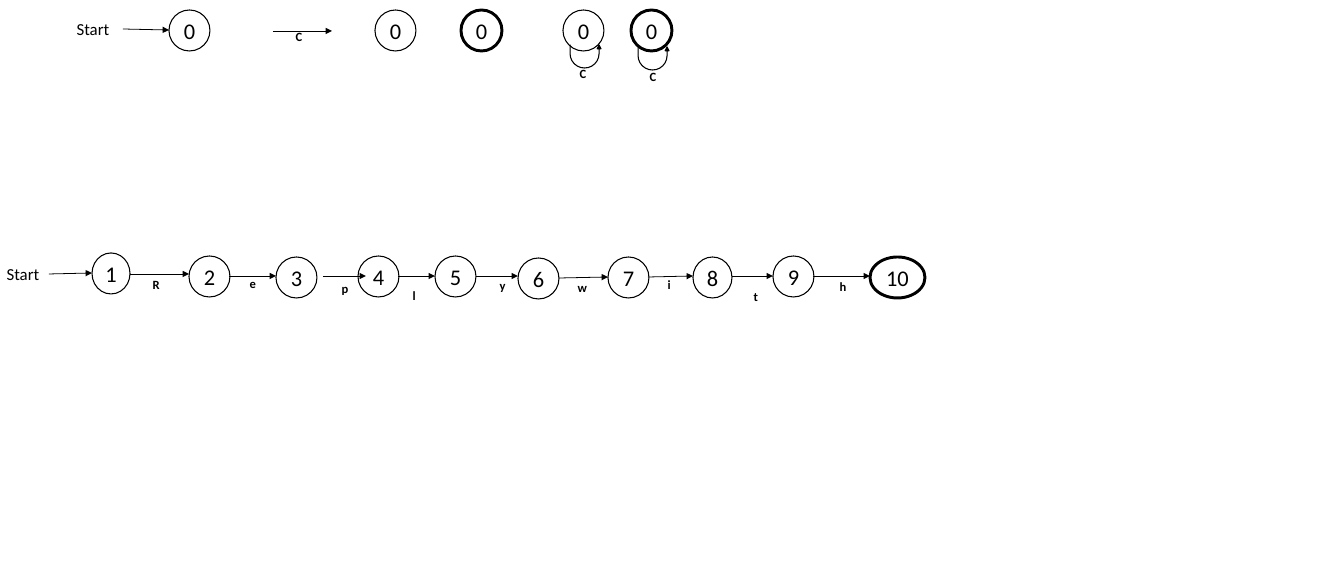
from lxml import etree
from pptx import Presentation
from pptx.dml.color import RGBColor
from pptx.enum.shapes import MSO_CONNECTOR, MSO_SHAPE
from pptx.enum.text import MSO_ANCHOR, PP_ALIGN
from pptx.oxml.ns import qn
from pptx.util import Pt

PIXEL = 914400 / 76.8
STRAIGHT = MSO_CONNECTOR.STRAIGHT
OVAL = MSO_SHAPE.OVAL
UTURN = MSO_SHAPE.U_TURN_ARROW
MIDDLE = MSO_ANCHOR.MIDDLE
CENTER = PP_ALIGN.CENTER
BLACK = "000000"
FONT = "Calibri"
THIN, BOLD_RIM = 1, 2.75
STATE_HEIGHT = 41

CHAIN_STATES = [
    ("2", 189, 256, 41), ("3", 276, 257, 41), ("4", 358, 256, 41),
    ("5", 435, 256, 41), ("6", 518, 258, 41), ("7", 608, 257, 41),
    ("8", 693, 257, 39), ("9", 773, 256, 41),
]
CHAIN_TRANSITIONS = [
    ("R", (130, 274, 189, 274), (145, 273)),
    ("e", (229, 276, 276, 276), (242, 272)),
    ("p", (323, 276, 366, 276), (334, 277)),
    ("l", (398, 276, 435, 276), (405, 284)),
    ("y", (476, 276, 518, 276), (492, 274)),
    ("w", (559, 278, 608, 277), (570, 276)),
    ("i", (648, 277, 693, 276), (660, 273)),
    ("t", (732, 276, 773, 276), (746, 285)),
    ("h", (813, 276, 870, 276), (832, 275)),
]


def px(*values):
    """Turn pixel lengths into a list of EMU lengths."""
    return [round(value * PIXEL) for value in values]


def color(hex_code):
    """Return the colour for a hex string."""
    return RGBColor.from_string(hex_code)


def write(frame, text, size, bold=False):
    """Put one formatted paragraph into a text frame and return it."""
    frame.word_wrap = True
    para = frame.paragraphs[0]
    para.text = text
    para.font.name = FONT
    para.font.size = Pt(size)
    para.font.bold = bold
    para.font.color.rgb = color(BLACK)
    return para


def add_text(shapes, text, left, top, width, height, size, bold=False):
    """Add a text box with one line of text."""
    box = shapes.add_textbox(*px(left, top, width, height))
    write(box.text_frame, text, size, bold)


def add_label(shapes, symbol, left, top):
    """Add the bold input symbol of a transition."""
    add_text(shapes, symbol, left, top, 17, 23, 11.8, True)


def add_state(shapes, name, left, top, width=STATE_HEIGHT, rim=THIN):
    """Add a state circle with its number; a thick rim marks acceptance."""
    state = shapes.add_shape(OVAL, *px(left, top, width, STATE_HEIGHT))
    state.shadow.inherit = False
    state.fill.background()
    state.line.color.rgb = color(BLACK)
    state.line.width = Pt(rim)
    frame = state.text_frame
    frame.margin_left = frame.margin_right = 0
    frame.margin_top = frame.margin_bottom = 0
    frame.vertical_anchor = MIDDLE
    write(frame, name, 21).alignment = CENTER


def add_arrow(shapes, ends):
    """Add a straight arrow between two points."""
    arrow = shapes.add_connector(STRAIGHT, *px(*ends))
    arrow.line.color.rgb = color(BLACK)
    arrow.line.width = Pt(0.75)
    properties = arrow._element.spPr
    outline = properties.find(qn("a:ln"))
    etree.SubElement(outline, qn("a:tailEnd"), type="triangle")
    etree.SubElement(properties, qn("a:effectLst"))


def add_start(page, text_place, ends, name, state_place):
    """Add the start word, its arrow and the first state as a group."""
    shapes = page.shapes.add_group_shape().shapes
    add_text(shapes, "Start", *text_place, 54, 28, 15.8)
    add_arrow(shapes, ends)
    add_state(shapes, name, *state_place)


def add_transition(page, symbol, ends, label_place):
    """Add an arrow and its input symbol as a group."""
    shapes = page.shapes.add_group_shape().shapes
    add_arrow(shapes, ends)
    add_label(shapes, symbol, *label_place)


def add_looping_state(page, left, rim, loop_place, label_place):
    """Add a state with an arrow that returns to it."""
    shapes = page.shapes.add_group_shape().shapes
    add_state(shapes, "0", left, 10, rim=rim)
    loop = shapes.add_shape(UTURN, *px(*loop_place, 31, 23))
    for index, value in enumerate((0, 0.085, 0.164, 0.717, 1)):
        loop.adjustments[index] = value
    loop.rotation = 180
    loop._element.spPr.find(qn("a:xfrm")).set("flipH", "1")
    loop.shadow.inherit = False
    loop.fill.solid()
    loop.fill.fore_color.rgb = color(BLACK)
    loop.line.color.rgb = color(BLACK)
    loop.line.width = Pt(THIN)
    add_label(shapes, "C", *label_place)


def add_legend(page):
    """Add the row of automaton symbols."""
    add_start(page, (69, 15), (123, 29, 169, 30), "0", (169, 10))
    add_transition(page, "C", (273, 31, 332, 31), (288, 25))
    add_state(page.shapes, "0", 375, 10)
    add_state(page.shapes, "0", 461, 10, rim=BOLD_RIM)
    add_looping_state(page, 563, THIN, (570, 45), (572, 62))
    add_looping_state(page, 631, BOLD_RIM, (638, 47), (642, 65))


def add_chain(page):
    """Add the automaton that reads the word letter by letter."""
    add_start(page, (-1, 260), (49, 274, 92, 273), "1", (92, 253, 38))
    for name, left, top, width in CHAIN_STATES:
        add_state(page.shapes, name, left, top, width)
    add_state(page.shapes, "10", 870, 257, 55, BOLD_RIM)
    for symbol, ends, label_place in CHAIN_TRANSITIONS:
        add_transition(page, symbol, ends, label_place)


def main():
    """Build the slide and save it."""
    deck = Presentation()
    deck.slide_width, deck.slide_height = px(1344, 576)
    page = deck.slides.add_slide(deck.slide_layouts[6])
    add_legend(page)
    add_chain(page)
    deck.save("out.pptx")


main()
